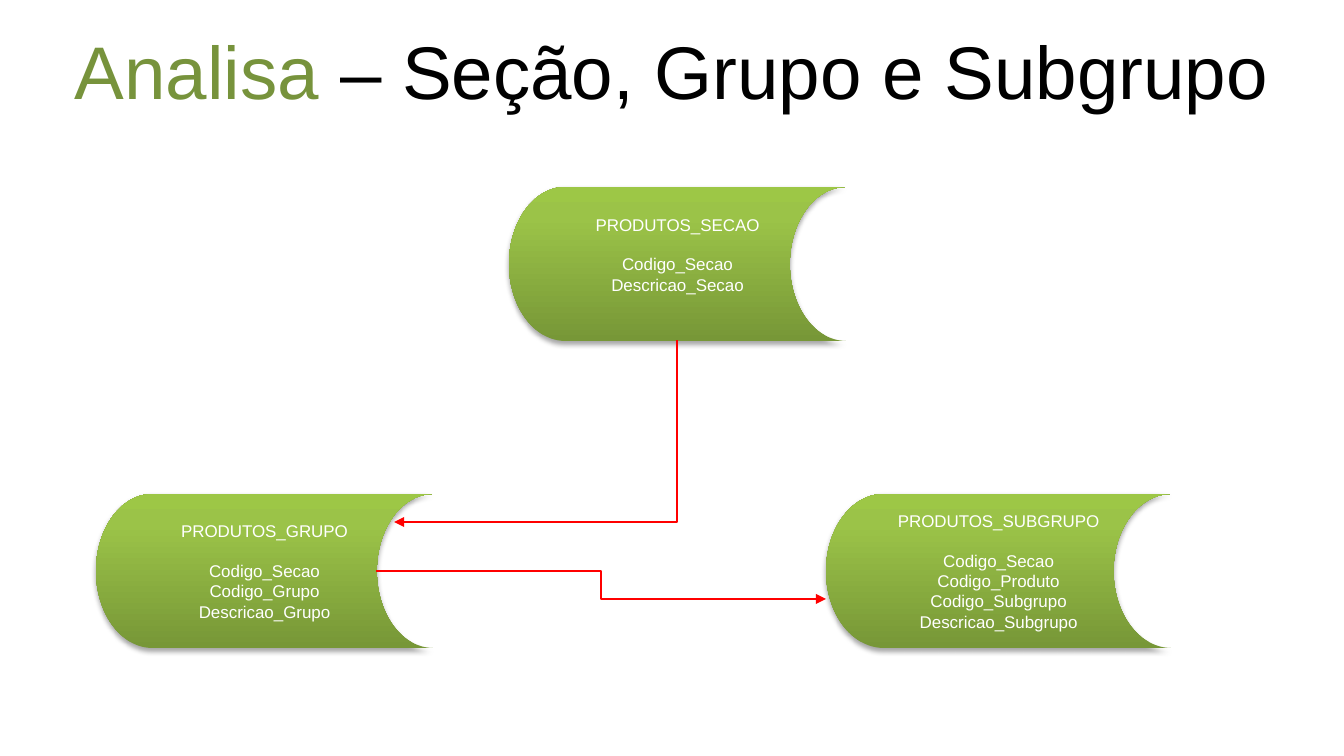
from dataclasses import dataclass

from lxml import etree
from pptx import Presentation
from pptx.dml.color import RGBColor
from pptx.enum.shapes import MSO_CONNECTOR, MSO_SHAPE
from pptx.enum.text import MSO_ANCHOR, PP_ALIGN
from pptx.oxml.ns import qn
from pptx.shapes.autoshape import Shape
from pptx.shapes.connector import Connector
from pptx.slide import Slide
from pptx.text.text import TextFrame, _Paragraph
from pptx.util import Emu, Pt

EMU_PER_PX = 7495
ELBOW = MSO_CONNECTOR.ELBOW
STORAGE = MSO_SHAPE.FLOWCHART_STORED_DATA
MIDDLE = MSO_ANCHOR.MIDDLE
CENTER = PP_ALIGN.CENTER


@dataclass(frozen=True)
class Theme:
    font: str = "Arial"
    title_size: float = 44
    table_size: float = 10
    line_gap: float = 11.5
    accent: str = "77933C"
    title: str = "000000"
    table_text: str = "FFFFFF"
    arrow: str = "FF0000"
    arrow_width: float = 0.75
    shadow: str = "000000"
    gradient: tuple[tuple[int, str], ...] = ((0, "779737"), (80, "9BC348"), (100, "9DC746"))


@dataclass(frozen=True)
class StoredTable:
    name: str
    fields: tuple[str, ...]
    left: int
    top: int
    width: int = 337
    height: int = 154
    bottom_inset: int = 6


@dataclass(frozen=True)
class Arrow:
    start: tuple[int, int]
    end: tuple[int, int]
    single_bend: bool = False


THEME = Theme()
TITLE_PARTS = (("Analisa", THEME.accent), (" – Seção, Grupo e Subgrupo", THEME.title))
TABLES = (
    StoredTable("PRODUTOS_SECAO", ("Codigo_Secao", "Descricao_Secao"), 509, 187, bottom_inset=25),
    StoredTable("PRODUTOS_GRUPO", ("Codigo_Secao", "Codigo_Grupo", "Descricao_Grupo"), 96, 494),
    StoredTable(
        "PRODUTOS_SUBGRUPO",
        ("Codigo_Secao", "Codigo_Produto", "Codigo_Subgrupo", "Descricao_Subgrupo"),
        826, 494, width=345,
    ),
)
ARROWS = (
    Arrow((376, 571), (826, 599)),
    Arrow((677, 340), (394, 522), single_bend=True),
)


def px(value: float) -> Emu:
    return Emu(round(value * EMU_PER_PX))


def set_format(target: object, values: dict[str, object]) -> None:
    for name, value in values.items():
        setattr(target, name, value)


def add_run(paragraph: _Paragraph, text: str, size: float, color: str) -> None:
    run = paragraph.add_run()
    run.text = text
    set_format(run.font, {"name": THEME.font, "size": Pt(size)})
    run.font.color.rgb = RGBColor.from_string(color)


def set_frame(frame: TextFrame, side: int, top: int, bottom: int) -> None:
    set_format(frame, {
        "word_wrap": True, "vertical_anchor": MIDDLE,
        "margin_left": px(side), "margin_right": px(side),
        "margin_top": px(top), "margin_bottom": px(bottom),
    })


def add_title(slide: Slide) -> None:
    frame = slide.shapes.add_textbox(px(67), px(12), px(1210), px(127)).text_frame
    set_frame(frame, 0, 0, 0)
    paragraph = frame.paragraphs[0]
    set_format(paragraph, {"alignment": CENTER, "line_spacing": 0.9})
    for text, color in TITLE_PARTS:
        add_run(paragraph, text, THEME.title_size, color)


def add_gradient(shape: Shape) -> None:
    shape.fill.gradient()
    shape.fill.gradient_angle = 90
    stops = shape._element.spPr.find(".//" + qn("a:gsLst"))
    for stop in list(stops):
        stops.remove(stop)
    for position, color in THEME.gradient:
        stop = etree.SubElement(stops, qn("a:gs"), pos=str(position * 1000))
        etree.SubElement(stop, qn("a:srgbClr"), val=color)


def add_soft_shadow(shape: Shape) -> None:
    shape.shadow.inherit = False
    effects = shape._element.spPr.find(qn("a:effectLst"))
    shadow = etree.SubElement(
        effects, qn("a:outerShdw"), blurRad=str(Pt(3.1)), dist=str(Pt(1.8)),
        dir=str(90 * 60000), rotWithShape="0",
    )
    color = etree.SubElement(shadow, qn("a:srgbClr"), val=THEME.shadow)
    etree.SubElement(color, qn("a:alpha"), val="35000")


def add_stored_table(slide: Slide, table: StoredTable) -> None:
    shape = slide.shapes.add_shape(
        STORAGE, px(table.left), px(table.top), px(table.width), px(table.height)
    )
    add_gradient(shape)
    shape.line.fill.background()
    add_soft_shadow(shape)
    frame = shape.text_frame
    set_frame(frame, 12, 6, table.bottom_inset)
    heading = frame.paragraphs[0]
    heading.space_after = Pt(THEME.line_gap)
    paragraphs = [heading, *(frame.add_paragraph() for _ in table.fields)]
    for paragraph, text in zip(paragraphs, (table.name, *table.fields)):
        paragraph.alignment = CENTER
        add_run(paragraph, text, THEME.table_size, THEME.table_text)


def bend_once(connector: Connector, arrow: Arrow) -> None:
    """Turn the connector so that it runs down first and then left."""
    (start_x, start_y), (end_x, end_y) = arrow.start, arrow.end
    width, height = end_y - start_y, start_x - end_x
    properties = connector._element.spPr
    properties.find(qn("a:prstGeom")).set("prst", "bentConnector2")
    frame = properties.find(qn("a:xfrm"))
    frame.attrib.pop("flipH", None)
    frame.set("rot", str(90 * 60000))
    set_format(connector, {
        "left": px((start_x + end_x - width) / 2), "top": px((start_y + end_y - height) / 2),
        "width": px(width), "height": px(height),
    })


def add_arrow(slide: Slide, arrow: Arrow) -> None:
    points = (px(value) for value in (*arrow.start, *arrow.end))
    connector = slide.shapes.add_connector(ELBOW, *points)
    if arrow.single_bend:
        bend_once(connector, arrow)
    connector.line.width = Pt(THEME.arrow_width)
    connector.line.color.rgb = RGBColor.from_string(THEME.arrow)
    properties = connector._element.spPr
    etree.SubElement(properties.find(qn("a:ln")), qn("a:tailEnd"), type="triangle")
    etree.SubElement(properties, qn("a:effectLst"))


def main() -> None:
    presentation = Presentation()
    set_format(presentation, {"slide_width": px(1344), "slide_height": px(756)})
    slide = presentation.slides.add_slide(presentation.slide_layouts[6])
    add_title(slide)
    for table in TABLES:
        add_stored_table(slide, table)
    for arrow in ARROWS:
        add_arrow(slide, arrow)
    presentation.save("out.pptx")


if __name__ == "__main__":
    main()
